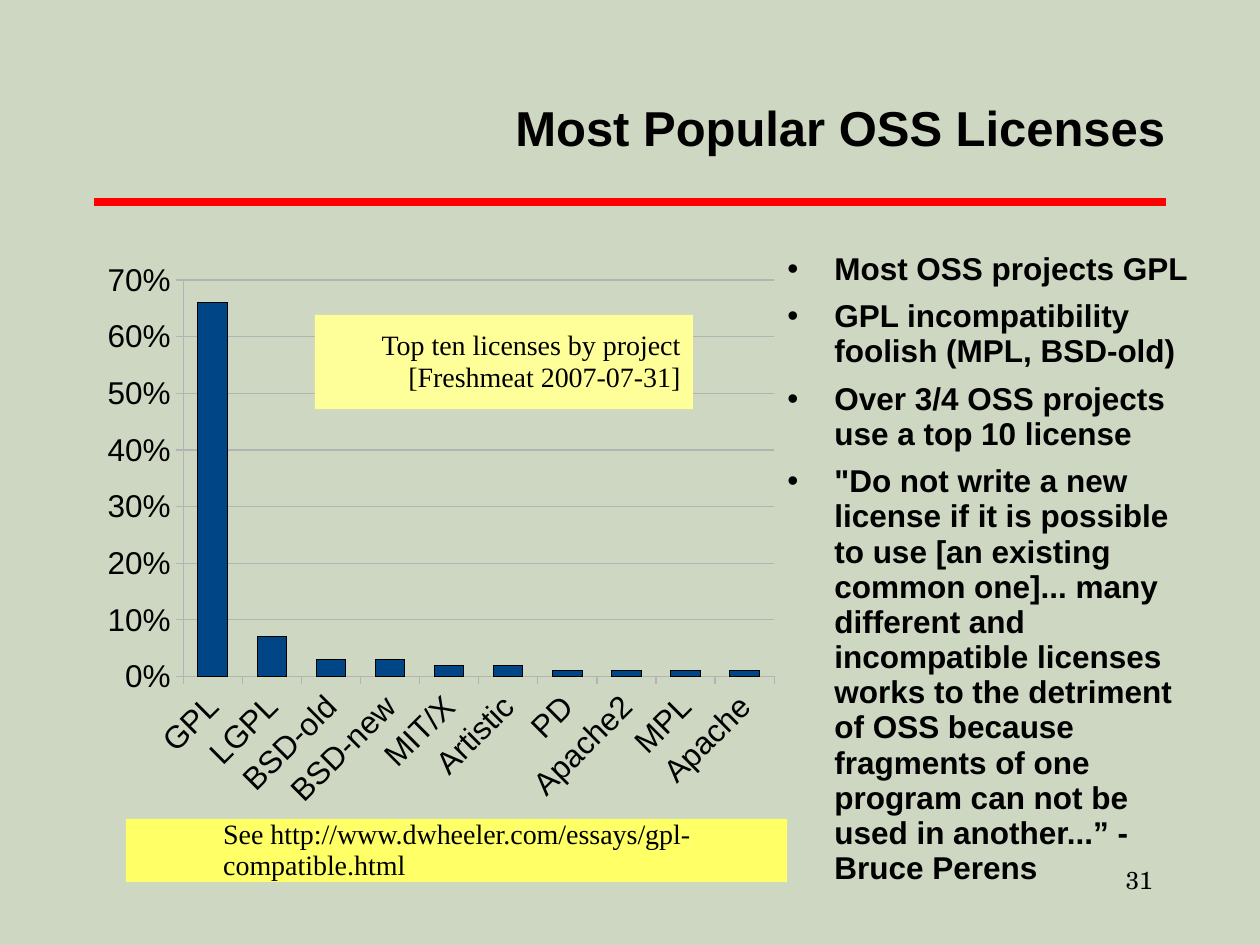
from lxml.etree import SubElement
from pptx import Presentation
from pptx.chart.data import CategoryChartData
from pptx.dml.color import RGBColor
from pptx.enum.chart import XL_CHART_TYPE, XL_TICK_LABEL_POSITION, XL_TICK_MARK
from pptx.enum.shapes import MSO_CONNECTOR, MSO_SHAPE
from pptx.enum.text import MSO_ANCHOR, MSO_AUTO_SIZE, PP_ALIGN
from pptx.oxml import parse_xml
from pptx.oxml.ns import nsdecls, qn
from pptx.util import Cm, Pt

COLORS = {
    "background": "CDD7C1", "text": "000000", "rule": "FF0000", "bar": "004586",
    "grid": "B3B3B3", "source": "FFFF99", "link": "FFFF66",
}


def rgb(name):
    return RGBColor.from_string(COLORS[name])


def add_text(p, text, font, size, bold=False):
    """Add a run for each line of text, with line breaks between them."""
    for i, line in enumerate(text.split("\n")):
        if i:
            p.add_line_break()
        r = p.add_run()
        r.text = line
        r.font.name, r.font.size, r.font.bold = font, Pt(size), bold
        r.font.color.rgb = rgb("text")


prs = Presentation()
prs.slide_width, prs.slide_height = Cm(25.4), Cm(19.05)
s = prs.slides.add_slide(prs.slide_layouts[1])
s.background.fill.solid()
s.background.fill.fore_color.rgb = rgb("background")

# Red rule under the title
rule = s.shapes.add_connector(MSO_CONNECTOR.STRAIGHT, Cm(1.9), Cm(4.07), Cm(23.5), Cm(4.07))
rule.line.color.rgb = rgb("rule")
rule.line.width = Pt(5)
SubElement(rule._element.spPr, qn("a:effectLst"))

# Slide number
number = s.shapes.add_textbox(Cm(19.25), Cm(17.34), Cm(4.24), Cm(0.84))
number.text_frame.word_wrap = True
p = number.text_frame.paragraphs[0]
p.alignment = PP_ALIGN.RIGHT
p.line_spacing = 0.98
add_text(p, "31", "TeX Gyre Schola", 14)

# Title and body placeholders
title, body = s.shapes.title, s.placeholders[1]
title.left, title.top, title.width, title.height = Cm(5.71), Cm(1.45), Cm(17.78), Cm(2.34)
body.left, body.top, body.width, body.height = Cm(15.87), Cm(5.08), Cm(8.26), Cm(13.26)
for sp, anchor in ((title, MSO_ANCHOR.MIDDLE), (body, MSO_ANCHOR.TOP)):
    tf = sp.text_frame
    tf.auto_size = MSO_AUTO_SIZE.NONE
    tf.word_wrap = True
    tf.vertical_anchor = anchor
    tf.margin_left = tf.margin_top = tf.margin_right = tf.margin_bottom = 0

p = title.text_frame.paragraphs[0]
p.alignment = PP_ALIGN.RIGHT
p.line_spacing = 0.93
add_text(p, "Most Popular OSS Licenses", "Arial", 28, True)

points = [
    "Most OSS projects GPL",
    "GPL incompatibility foolish (MPL, BSD-old)",
    "Over 3/4 OSS projects use a top 10 license",
    '"Do not write a new license if it is possible to use [an existing common one]... '
    "many different and incompatible licenses works to the detriment of OSS because "
    "fragments of one program can not be used in another...” - Bruce Perens",
]
tf = body.text_frame
for i, point in enumerate(points):
    p = tf.add_paragraph() if i else tf.paragraphs[0]
    pPr = p._p.get_or_add_pPr()
    pPr.set("marL", str(Cm(0.95)))
    pPr.set("indent", str(-Cm(0.95)))
    SubElement(pPr, qn("a:buChar"), char="•")
    p.line_spacing = 0.93
    p.space_before = Pt(7 if i else 0)
    add_text(p, point, "Arial", 18, True)

# License share chart
shares = {
    "GPL": 0.66, "LGPL": 0.07, "BSD-old": 0.03, "BSD-new": 0.03, "MIT/X": 0.02,
    "Artistic": 0.02, "PD": 0.01, "Apache2": 0.01, "MPL": 0.01, "Apache": 0.01,
}
data = CategoryChartData(number_format="0%")
data.categories = list(shares)
data.add_series("Series 1", list(shares.values()))
chart = s.shapes.add_chart(XL_CHART_TYPE.COLUMN_CLUSTERED, Cm(1.89), Cm(5.06),
                           Cm(14), Cm(11.46), data).chart
chart.has_title = chart.has_legend = False
chart.font.name, chart.font.size = "Arial", Pt(18)
chart.font.color.rgb = rgb("text")

plot = chart.plots[0]
plot.gap_width = 100
plot.vary_by_categories = False
bars = plot.series[0].format
bars.fill.solid()
bars.fill.fore_color.rgb = rgb("bar")
bars.line.color.rgb = rgb("text")
bars.line.width = Pt(0)

value_axis, category_axis = chart.value_axis, chart.category_axis
value_axis.minimum_scale, value_axis.maximum_scale, value_axis.major_unit = 0, 0.7, 0.1
value_axis.has_major_gridlines = True
value_axis.tick_labels.number_format = "0%"
value_axis.tick_labels.number_format_is_linked = False
category_axis.tick_label_position = XL_TICK_LABEL_POSITION.LOW
for axis in (value_axis, category_axis):
    axis.major_tick_mark = XL_TICK_MARK.OUTSIDE
    axis.tick_labels.font.size = Pt(18)
for line in (value_axis.format.line, category_axis.format.line,
             value_axis.major_gridlines.format.line):
    line.color.rgb = rgb("grid")
    line.width = Pt(0)
category_axis._element.txPr.find(qn("a:bodyPr")).set("rot", "-2700000")

plot_area = chart._chartSpace.chart.plotArea
for layout in plot_area.findall(qn("c:layout")):
    plot_area.remove(layout)
plot_area.insert(0, parse_xml(
    f'<c:layout {nsdecls("c")}><c:manualLayout><c:layoutTarget val="outer"/>'
    '<c:xMode val="edge"/><c:yMode val="edge"/><c:x val="0.02"/><c:y val="0.02"/>'
    '<c:w val="0.96"/><c:h val="0.96"/></c:manualLayout></c:layout>'))

# Yellow notes: fill, position and size, left and right margins, alignment, text
notes = [
    ("source", (6.35, 6.35, 7.62, 1.9), (0.25, 0.25), PP_ALIGN.RIGHT,
     "Top ten licenses by project\n[Freshmeat 2007-07-31]"),
    ("link", (2.54, 16.51, 13.33, 1.27), (1.96, 1.5), PP_ALIGN.LEFT,
     "See http://www.dwheeler.com/essays/gpl-compatible.html"),
]
for fill, box, margins, alignment, text in notes:
    sp = s.shapes.add_shape(MSO_SHAPE.ROUNDED_RECTANGLE, *map(Cm, box))
    sp.adjustments[0] = 0
    sp.shadow.inherit = False
    sp.fill.solid()
    sp.fill.fore_color.rgb = rgb(fill)
    sp.line.fill.background()
    tf = sp.text_frame
    tf.word_wrap = True
    tf.vertical_anchor = MSO_ANCHOR.MIDDLE
    tf.margin_left, tf.margin_right = map(Cm, margins)
    p = tf.paragraphs[0]
    p.alignment = alignment
    p.line_spacing = 0.93
    add_text(p, text, "Times New Roman", 16)

prs.save("out.pptx")
